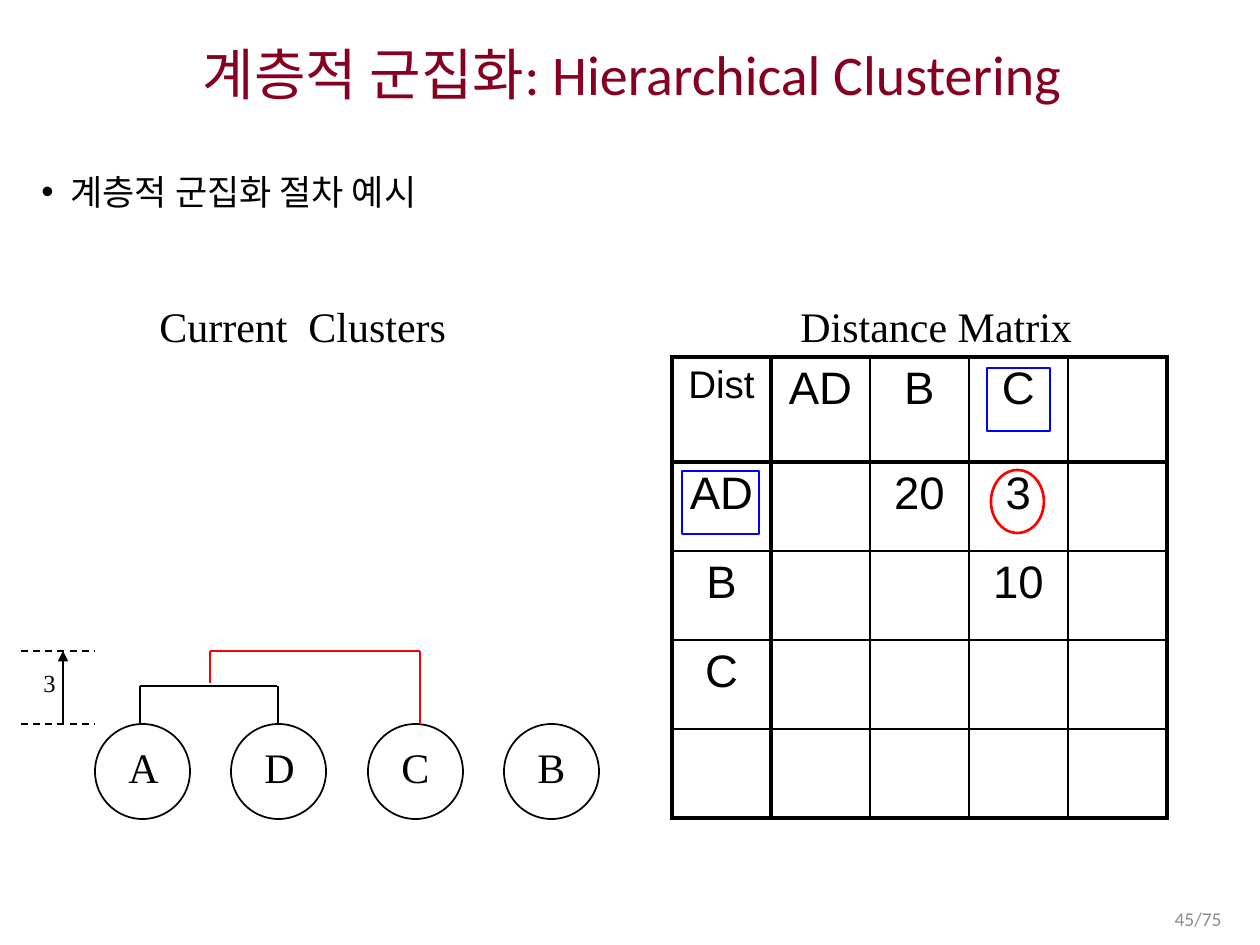
from lxml.etree import SubElement
from pptx import Presentation
from pptx.dml.color import RGBColor
from pptx.enum.dml import MSO_LINE
from pptx.enum.shapes import MSO_CONNECTOR, MSO_SHAPE
from pptx.enum.text import MSO_ANCHOR as ANCHOR, PP_ALIGN as ALIGN
from pptx.oxml.ns import qn
from pptx.util import Emu, Pt

BLACK = RGBColor(0x00, 0x00, 0x00)
RED = RGBColor(0xFF, 0x00, 0x00)
BLUE = RGBColor(0x00, 0x00, 0xFF)
WINE = RGBColor(0x86, 0x00, 0x20)
GRAY = RGBColor(0x8C, 0x8C, 0x8C)
SANS, SERIF, PLAIN = "Calibri", "Times New Roman", "Arial"
THIN, THICK = 1, 2.25

GRID = [
    ["Dist", "AD", "B", "C", ""],
    ["AD", "", "20", "3", ""],
    ["B", "", "", "10", ""],
    ["C", "", "", "", ""],
    ["", "", "", "", ""],
]


def px(*nums):
    """Turn lengths at 126 px to the inch into EMU."""
    return [Emu(round(n * 914400 / 126)) for n in nums]


def add_run(para, text, size, font, color=BLACK):
    run = para.add_run()
    run.text = text
    run.font.size = Pt(size)
    run.font.name = font
    run.font.color.rgb = color


def add_text(shapes, box, text, size, font=SERIF, color=BLACK,
             wrap=False, align=None, anchor=ANCHOR.TOP):
    frame = shapes.add_textbox(*px(*box)).text_frame
    frame.word_wrap = wrap
    frame.vertical_anchor = anchor
    para = frame.paragraphs[0]
    para.alignment = align
    add_run(para, text, size, font, color)
    return para


def add_bullet(para):
    props = para._p.get_or_add_pPr()
    left, dent = px(29, -29)
    props.set("marL", str(left))
    props.set("indent", str(dent))
    SubElement(props, qn("a:buFont"), typeface="Arial")
    SubElement(props, qn("a:buChar"), char="•")


def add_ring(shapes, kind, box, color, width):
    """Add an unfilled outline shape."""
    ring = shapes.add_shape(kind, *px(*box))
    ring.shadow.inherit = False
    ring.fill.background()
    ring.line.color.rgb = color
    ring.line.width = Pt(width)


def add_line(shapes, ends, color=BLACK, width=0.75, dash=False, arrow=False):
    line = shapes.add_connector(MSO_CONNECTOR.STRAIGHT, *px(*ends))
    line.line.color.rgb = color
    line.line.width = Pt(width)
    if dash:
        line.line.dash_style = MSO_LINE.DASH
    if arrow:
        SubElement(line.line._get_or_add_ln(), qn("a:tailEnd"), type="triangle")
    SubElement(line._element.spPr, qn("a:effectLst"))


def add_node(shapes, left, name):
    """Add a cluster: a circle grouped with its letter."""
    group = shapes.add_group_shape().shapes
    add_ring(group, MSO_SHAPE.OVAL, (left, 724, 95, 95), BLACK, 1)
    add_text(group, (left + 21, 735, 54, 63), name, 24)


def set_edge(cell, side, width):
    edge = SubElement(cell._tc.get_or_add_tcPr(), qn("a:ln" + side),
                      w=str(Pt(width)))
    fill = SubElement(edge, qn("a:solidFill"))
    SubElement(fill, qn("a:srgbClr"), val=str(BLACK))


def add_grid(shapes):
    count = len(GRID)
    table = shapes.add_table(count, count, *px(672, 357, 495, 461)).table
    table.first_row = table.horz_banding = False
    for col in table.columns:
        col.width = px(99)[0]
    for y, row in enumerate(GRID):
        table.rows[y].height = px(89 if y else 105)[0]
        for x, text in enumerate(row):
            cell = table.cell(y, x)
            last = count - 1
            heavy = {"L": x < 2, "R": x in (0, last),
                     "T": y < 2, "B": y in (0, last)}
            for side, thick in heavy.items():
                set_edge(cell, side, THICK if thick else THIN)
            cell.fill.background()
            if text:
                para = cell.text_frame.paragraphs[0]
                para.alignment = ALIGN.CENTER
                add_run(para, text, 22 if text == "Dist" else 26, PLAIN)


def add_tree(shapes):
    for left, name in zip((95, 231, 368, 504), "ADCB"):
        add_node(shapes, left, name)
    for ends in ((140, 725, 140, 686), (140, 686, 277, 686),
                 (278, 686, 278, 724)):
        add_line(shapes, ends)
    for ends in ((210, 683, 210, 651), (210, 651, 420, 651),
                 (420, 651, 420, 724)):
        add_line(shapes, ends, RED)
    for y in (724, 651):
        add_line(shapes, (21, y, 95, y), width=1, dash=True)
    add_text(shapes, (31, 662, 38, 42), "3", 14)
    add_line(shapes, (63, 724, 63, 651), width=1, arrow=True)


def main():
    deck = Presentation()
    deck.slide_width, deck.slide_height = px(1260, 945)
    shapes = deck.slides.add_slide(deck.slide_layouts[6]).shapes

    title = add_text(shapes, (29, 31, 1206, 92),
                     "계층적 군집화: Hierarchical Clustering", 32, SANS, WINE,
                     True, ALIGN.CENTER, ANCHOR.MIDDLE)
    title.line_spacing = 0.9
    point = add_text(shapes, (29, 152, 1206, 736), "계층적 군집화 절차 예시",
                     20, SANS, wrap=True)
    point.line_spacing = 1.3
    add_bullet(point)

    add_grid(shapes)
    add_text(shapes, (788, 294, 297, 63), "Distance Matrix", 24)
    add_text(shapes, (147, 294, 312, 63), "Current  Clusters", 24)
    add_ring(shapes, MSO_SHAPE.OVAL, (991, 470, 53, 63), RED, 1.5)
    for box in ((987, 368, 63, 63), (682, 471, 77, 63)):
        add_ring(shapes, MSO_SHAPE.RECTANGLE, box, BLUE, 1.5)

    add_tree(shapes)
    add_text(shapes, (950, 900, 284, 38), "45/75", 11.1, SANS, GRAY,
             True, ALIGN.RIGHT, ANCHOR.MIDDLE)
    deck.save("out.pptx")


if __name__ == "__main__":
    main()
